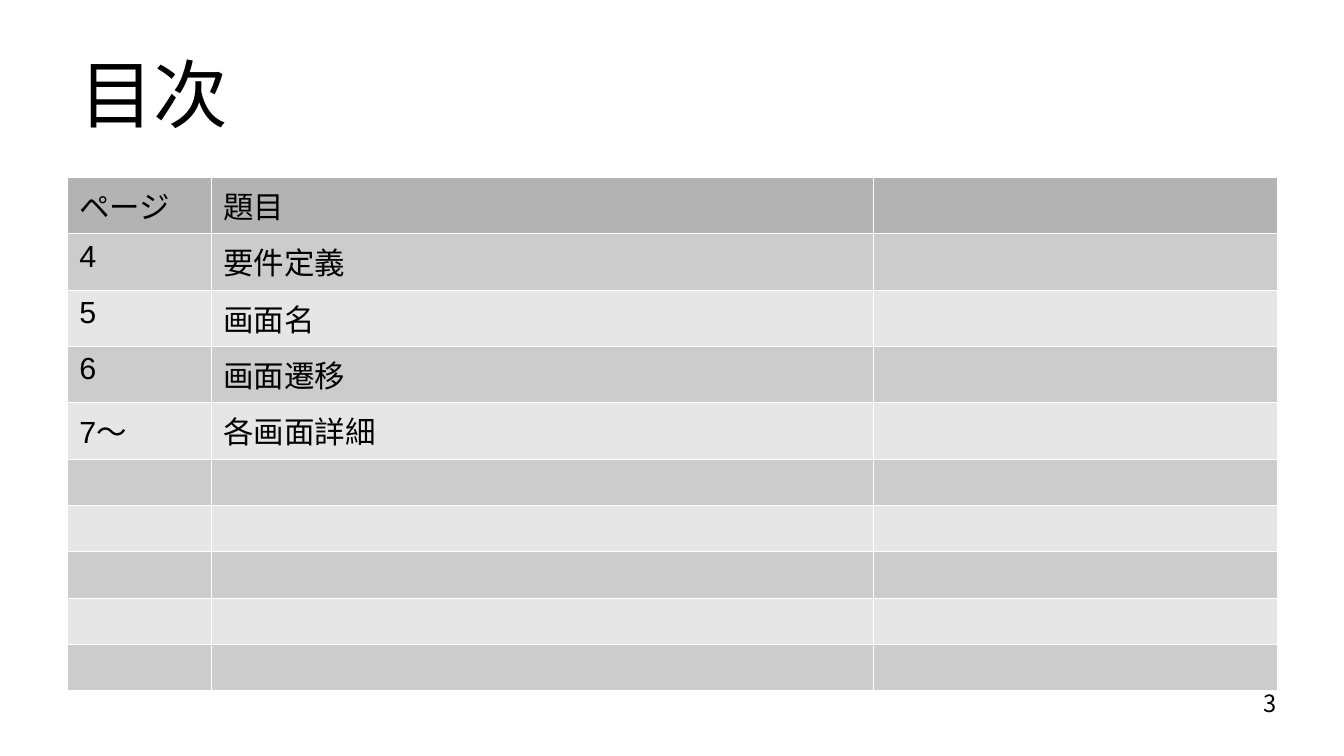
import dataclasses
import typing

import lxml.etree
import pptx
import pptx.dml.color
import pptx.enum.text
import pptx.oxml.ns
import pptx.util

WIDE, HIGH = 11.02, 6.2
HUES = {"ink": "000000", "head": "B3B3B3", "odd": "CCCCCC",
        "even": "E6E6E6", "rule": "FFFFFF"}
SANS, KANA = "Arial", "Noto Sans CJK JP"
COLS = (1.18, 5.43, 3.31)
ROWS = 10
ROW = 0.38
ITEMS = (("ページ", "題目"), ("4", "要件定義"), ("5", "画面名"),
         ("6", "画面遷移"), ("7～", "各画面詳細"))
ALIGN = pptx.enum.text.PP_ALIGN
ANCHOR = pptx.enum.text.MSO_ANCHOR
qn = pptx.oxml.ns.qn


@dataclasses.dataclass
class Label:
    """A text box placed in percent of the slide."""
    text: str
    left: float
    top: float
    width: float
    height: float
    size: int
    face: str
    align: typing.Any
    anchor: typing.Any


LABELS = (
    Label("目次", 5, 4, 12.9, 16.6, 44, SANS, ALIGN.CENTER, ANCHOR.MIDDLE),
    Label("3", 71.7, 91.1, 23.3, 6.8, 14, KANA, ALIGN.RIGHT, ANCHOR.TOP),
)


def across(share: float) -> int:
    return pptx.util.Inches(WIDE * share / 100)


def down(share: float) -> int:
    return pptx.util.Inches(HIGH * share / 100)


def tint(name: str) -> pptx.dml.color.RGBColor:
    return pptx.dml.color.RGBColor.from_string(HUES[name])


def apply(target: typing.Any, form: dict) -> None:
    for key, value in form.items():
        setattr(target, key, value)


def write(para: typing.Any, text: str, size: int, face: str) -> None:
    run = para.add_run()
    run.text = text
    apply(run.font, {"size": pptx.util.Pt(size), "name": face, "bold": False})
    run.font.color.rgb = tint("ink")
    east = lxml.etree.SubElement(run.font._element, qn("a:ea"))
    east.set("typeface", KANA)


def place(slide: typing.Any, label: Label) -> None:
    box = slide.shapes.add_textbox(across(label.left), down(label.top),
                                   across(label.width), down(label.height))
    apply(box.text_frame, {
        "word_wrap": True, "vertical_anchor": label.anchor,
        "margin_left": 0, "margin_right": 0, "margin_top": 0, "margin_bottom": 0})
    para = box.text_frame.paragraphs[0]
    para.alignment = label.align
    write(para, label.text, label.size, label.face)


def edge(cell: typing.Any) -> None:
    """Rule all four sides, ahead of the cell's fill."""
    props = cell._tc.get_or_add_tcPr()
    for spot, side in enumerate(("lnL", "lnR", "lnT", "lnB")):
        line = lxml.etree.Element(qn(f"a:{side}"), w="762")
        fill = lxml.etree.SubElement(line, qn("a:solidFill"))
        lxml.etree.SubElement(fill, qn("a:srgbClr"), val=HUES["rule"])
        props.insert(spot, line)


def fill_cell(cell: typing.Any, text: str, hue: str) -> None:
    cell.fill.solid()
    cell.fill.fore_color.rgb = tint(hue)
    edge(cell)
    para = cell.text_frame.paragraphs[0]
    if text:
        write(para, text, 18, SANS if text[0].isdigit() else KANA)
    else:
        # Small type keeps empty rows at their set height
        lxml.etree.SubElement(para._p, qn("a:endParaRPr"), sz="1200")


def list_pages(slide: typing.Any) -> None:
    frame = slide.shapes.add_table(ROWS, len(COLS), across(5), down(23.4),
                                   pptx.util.Inches(sum(COLS)),
                                   pptx.util.Inches(ROW * ROWS))
    table = frame.table
    apply(table, {"first_row": False, "horz_banding": False})
    for col, width in zip(table.columns, COLS):
        col.width = pptx.util.Inches(width)
    for r, row in enumerate(table.rows):
        row.height = pptx.util.Inches(ROW)
        hue = "head" if r == 0 else "odd" if r % 2 else "even"
        words = ITEMS[r] if r < len(ITEMS) else ()
        for c, cell in enumerate(row.cells):
            fill_cell(cell, words[c] if c < len(words) else "", hue)


# Slide
deck = pptx.Presentation()
apply(deck, {"slide_width": across(100), "slide_height": down(100)})
page = deck.slides.add_slide(deck.slide_layouts[6])

# Contents table, then title and page number
list_pages(page)
for label in LABELS:
    place(page, label)

deck.save("out.pptx")
